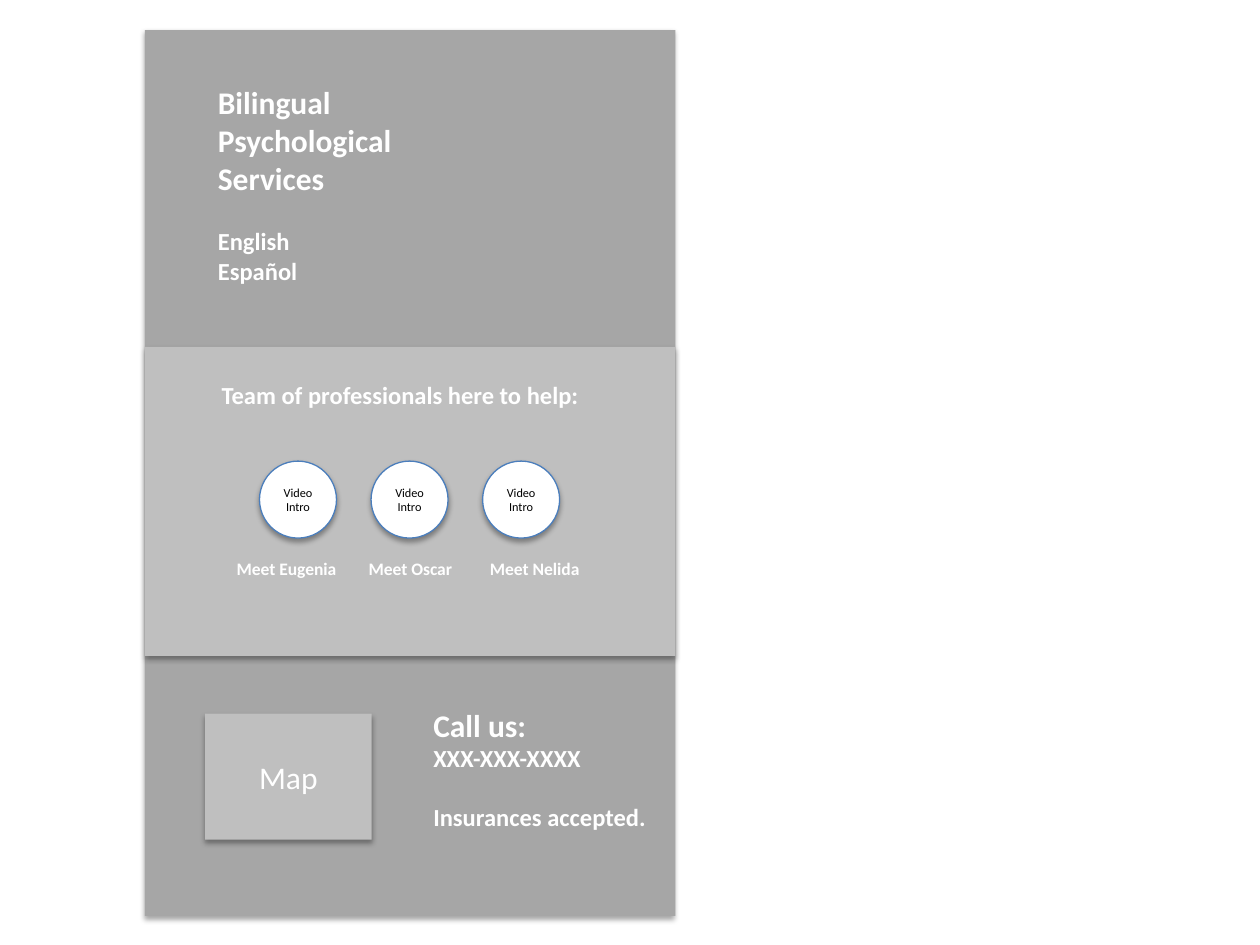
from lxml.etree import SubElement
from pptx import Presentation
from pptx.dml.color import RGBColor
from pptx.enum.shapes import MSO_SHAPE
from pptx.enum.text import MSO_ANCHOR, MSO_AUTO_SIZE, PP_ALIGN
from pptx.oxml.ns import qn
from pptx.util import Pt

DARK_GREY = "A6A6A6"
LIGHT_GREY = "BFBFBF"
WHITE = "FFFFFF"
BLACK = "000000"
BLUE = "4B7EBC"
BLANK_LAYOUT = 6
SECTION_GAP = 17


def color(hex_value):
    """Turn a hex string into an RGB colour."""
    return RGBColor.from_string(hex_value)


def format_runs(paragraph, size, hex_value, bold=False):
    """Apply font settings to every run of a paragraph."""
    for run in paragraph.runs:
        run.font.name = "Calibri"
        run.font.size = Pt(size)
        run.font.bold = bold
        run.font.color.rgb = color(hex_value)


def cast_shadow(shape):
    """Give a shape a soft shadow straight below it."""
    shape.shadow.inherit = False
    effects = shape._element.spPr.find(qn("a:effectLst"))
    shadow = SubElement(effects, qn("a:outerShdw"), blurRad=str(Pt(3.1)),
                        dist=str(Pt(1.8)), dir="5400000", rotWithShape="0")
    shade = SubElement(shadow, qn("a:srgbClr"), val=BLACK)
    SubElement(shade, qn("a:alpha"), val="35000")


def add_block(slide, kind, box, fill, outline=None):
    """Add a filled preset shape with a shadow."""
    block = slide.shapes.add_shape(kind, *map(Pt, box))
    block.fill.solid()
    block.fill.fore_color.rgb = color(fill)
    if outline:
        block.line.color.rgb = color(outline)
        block.line.width = Pt(0.75)
    else:
        block.line.fill.background()
    cast_shadow(block)
    return block


def add_label(block, wording, size, hex_value, inset):
    """Write centred text inside a block."""
    frame = block.text_frame
    frame.text = wording
    frame.word_wrap = True
    frame.vertical_anchor = MSO_ANCHOR.MIDDLE
    frame.margin_left = frame.margin_right = Pt(inset)
    frame.paragraphs[0].alignment = PP_ALIGN.CENTER
    format_runs(frame.paragraphs[0], size, hex_value)


def add_copy(slide, box, lines):
    """Add bold white lines, each given as wording, size and space before."""
    frame = slide.shapes.add_textbox(*map(Pt, box)).text_frame
    frame.word_wrap = False
    frame.auto_size = MSO_AUTO_SIZE.SHAPE_TO_FIT_TEXT
    frame.text = "\n".join(wording for wording, _, _ in lines)
    for paragraph, (_, size, gap) in zip(frame.paragraphs, lines):
        paragraph.space_before = Pt(gap)
        format_runs(paragraph, size, WHITE, bold=True)


def add_team(slide):
    """Add a video circle and a name for each professional."""
    members = [("Eugenia", 72.7), ("Oscar", 63.4), ("Nelida", 66.2)]
    for index, (name, width) in enumerate(members):
        circle = (148.3 + 63.75 * index, 263.5, 44, 44)
        intro = add_block(slide, MSO_SHAPE.OVAL, circle, WHITE, BLUE)
        add_label(intro, "Video Intro", 7, BLACK, 4)
        name_left = 164.5 + 70.75 * index - width / 2
        add_copy(slide, (name_left, 315.4, width, 19.4),
                 [(f"Meet {name}", 10, 0)])


def main():
    """Build the mobile page mock-up."""
    presentation = Presentation()
    presentation.slide_width = Pt(720)
    presentation.slide_height = Pt(540)
    slide = presentation.slides.add_slide(
        presentation.slide_layouts[BLANK_LAYOUT])

    add_block(slide, MSO_SHAPE.RECTANGLE, (82.8, 17.2, 303.2, 506.2), DARK_GREY)
    add_block(slide, MSO_SHAPE.RECTANGLE, (82.8, 198.2, 303.2, 176.6), LIGHT_GREY)
    add_copy(slide, (117.4, 43.9, 115.9, 123.8), [
        ("Bilingual", 18, 0),
        ("Psychological", 18, 0),
        ("Services", 18, 0),
        ("English", 14, SECTION_GAP),
        ("Español", 14, 0),
    ])
    add_copy(slide, (119.5, 213.8, 224.6, 24.5),
             [("Team of professionals here to help:", 14, 0)])
    add_team(slide)
    add_copy(slide, (240.5, 399.6, 137.5, 79.9), [
        ("Call us:", 18, 0),
        ("XXX-XXX-XXXX", 14, 0),
        ("Insurances accepted.", 14, SECTION_GAP),
    ])
    location = add_block(slide, MSO_SHAPE.RECTANGLE, (117.2, 407.8, 95.2, 72),
                         LIGHT_GREY)
    add_label(location, "Map", 18, WHITE, 7.2)

    presentation.save("out.pptx")


if __name__ == "__main__":
    main()
